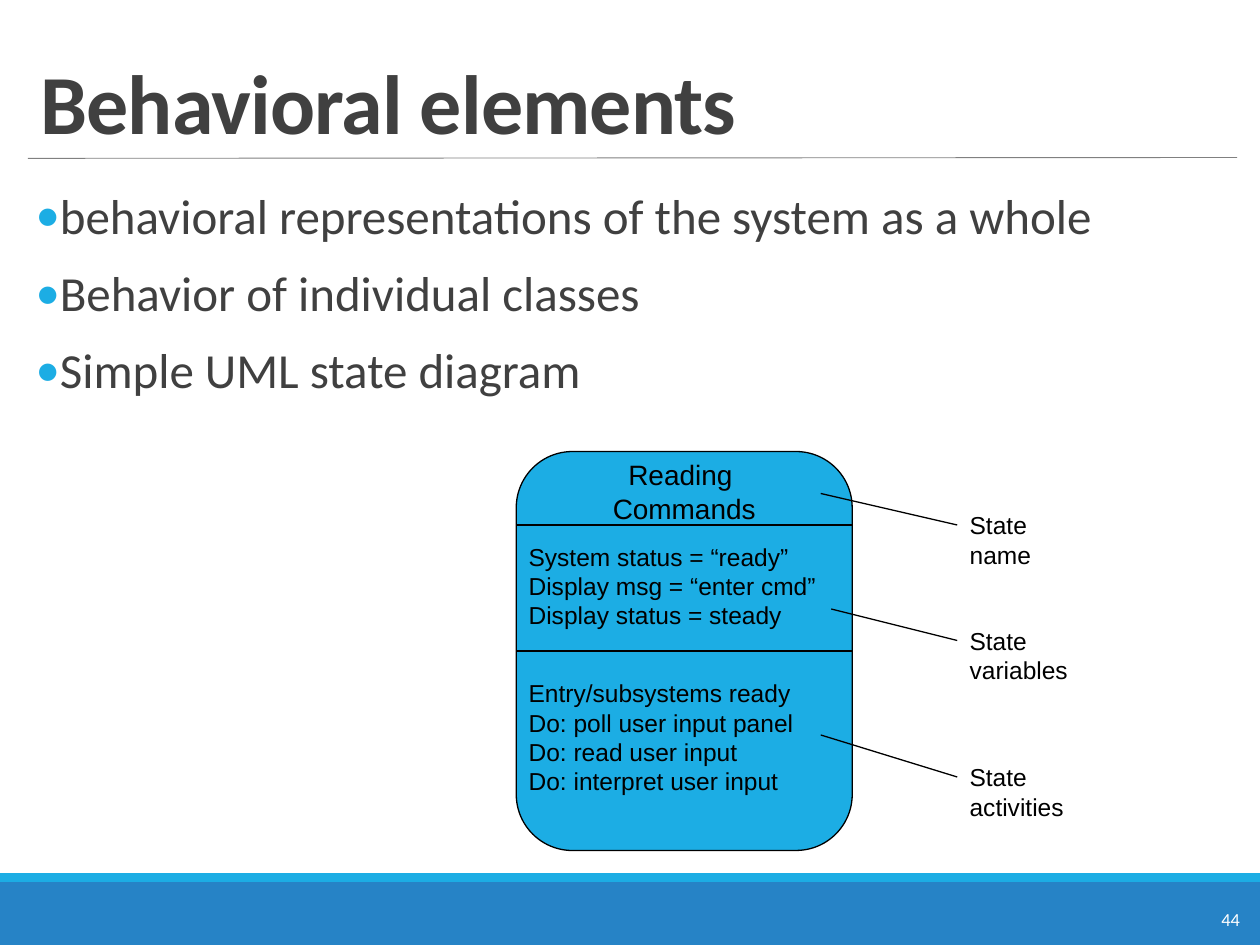
from dataclasses import dataclass

from lxml import etree
from pptx import Presentation
from pptx.dml.color import RGBColor
from pptx.enum.shapes import MSO_CONNECTOR, MSO_SHAPE
from pptx.enum.text import MSO_ANCHOR, PP_ALIGN
from pptx.oxml.ns import qn
from pptx.util import Pt

STRAIGHT = MSO_CONNECTOR.STRAIGHT
RECTANGLE = MSO_SHAPE.RECTANGLE
ROUNDED = MSO_SHAPE.ROUNDED_RECTANGLE
LEFT, CENTER, RIGHT = PP_ALIGN.LEFT, PP_ALIGN.CENTER, PP_ALIGN.RIGHT
TOP, BOTTOM = MSO_ANCHOR.TOP, MSO_ANCHOR.BOTTOM


@dataclass(frozen=True)
class Theme:
    accent: str = "1CADE4"
    footer: str = "2683C6"
    rule: str = "808080"
    heading: str = "404040"
    ink: str = "000000"
    white: str = "FFFFFF"
    heading_font: str = "Calibri"
    diagram_font: str = "Arial"
    title_size: float = 48
    body_size: float = 28
    state_size: float = 16
    detail_size: float = 14
    number_size: float = 10.5


theme = Theme()
deck = Presentation()
deck.slide_width, deck.slide_height = Pt(720), Pt(540)
page = deck.slides.add_slide(deck.slide_layouts[6])


def add_text(text, left, top, width, height, *, size=theme.detail_size,
             font=theme.diagram_font, color=theme.ink, bold=False, align=LEFT,
             anchor=TOP, wrap=True, side_inset=7.2, line_spacing=None,
             before=0, after=0, tracking=None, bullet=None):
    """Add a text box with one paragraph for each line of text."""
    box = page.shapes.add_textbox(Pt(left), Pt(top), Pt(width), Pt(height))
    frame = box.text_frame
    frame.word_wrap = wrap
    frame.vertical_anchor = anchor
    frame.margin_left = frame.margin_right = Pt(side_inset)
    frame.margin_top = frame.margin_bottom = Pt(3.6)
    frame.text = text
    for para in frame.paragraphs:
        para.alignment = align
        para.line_spacing = line_spacing
        para.space_before, para.space_after = Pt(before), Pt(after)
        span = para.runs[0]
        span.font.size, span.font.name, span.font.bold = Pt(size), font, bold
        span.font.color.rgb = RGBColor.from_string(color)
        if tracking is not None:
            span.font._element.set("spc", str(int(tracking * 100)))
        if bullet:
            properties = para._p.get_or_add_pPr()
            properties.set("marL", str(Pt(18)))
            properties.set("indent", str(Pt(-13.7)))
            bullet_color = etree.SubElement(properties, qn("a:buClr"))
            etree.SubElement(bullet_color, qn("a:srgbClr"), val=theme.accent)
            etree.SubElement(properties, qn("a:buFont"), typeface=font)
            etree.SubElement(properties, qn("a:buChar"), char=bullet)


def add_line(start_x, start_y, end_x, end_y, color=theme.ink, width=0.75):
    line = page.shapes.add_connector(
        STRAIGHT, Pt(start_x), Pt(start_y), Pt(end_x), Pt(end_y))
    line.line.color.rgb = RGBColor.from_string(color)
    line.line.width = Pt(width)
    etree.SubElement(line._element.spPr, qn("a:effectLst"))


# Footer bands and the state's outline
state_left, state_top, state_width = 295, 258, 192
for kind, left, top, width, height, fill, outline in [
    (RECTANGLE, 0, 504, 720, 36, theme.footer, None),
    (RECTANGLE, 0, 499, 720, 5, theme.accent, None),
    (ROUNDED, state_left, state_top, state_width, 228, theme.accent, theme.ink),
]:
    shape = page.shapes.add_shape(kind, Pt(left), Pt(top), Pt(width), Pt(height))
    shape.shadow.inherit = False
    shape.fill.solid()
    shape.fill.fore_color.rgb = RGBColor.from_string(fill)
    if outline:
        shape.adjustments[0] = 0.167
        shape.line.color.rgb = RGBColor.from_string(outline)
        shape.line.width = Pt(0.75)
    else:
        shape.line.fill.background()

# Heading, bullets and page number
add_line(16, 90.5, 707, 90, color=theme.rule, width=0.5)
add_text("44", 689, 515.5, 26.6, 20, size=theme.number_size, align=RIGHT,
         font=theme.heading_font, color=theme.white, wrap=False)
add_text("Behavioral elements", 16, 18, 691, 72, size=theme.title_size,
         font=theme.heading_font, color=theme.heading, bold=True,
         anchor=BOTTOM, line_spacing=0.85, tracking=-0.5)
add_text("behavioral representations of the system as a whole\n"
         "Behavior of individual classes\n"
         "Simple UML state diagram",
         16, 106, 691, 356, size=theme.body_size, font=theme.heading_font,
         color=theme.heading, side_inset=0, line_spacing=0.9,
         before=12, after=2, bullet="•")

# State compartments
for divider_y in (300, 372):
    add_line(state_left, divider_y, state_left + state_width, divider_y)
add_text("Reading \nCommands", 343, state_top, 96, 46,
         size=theme.state_size, align=CENTER)
add_text("System status = “ready”\n"
         "Display msg = “enter cmd”\n"
         "Display status = steady", state_left, 306, 186, 58)
add_text("Entry/subsystems ready\n"
         "Do: poll user input panel\n"
         "Do: read user input\n"
         "Do: interpret user input", state_left, 384, 186, 91)

# Callouts: each leader starts 12 points below the top of its label
label_left = 547
for label, top, width, target_x, target_y in [
    ("State name", 288, 84, 469, 282),
    ("State variables", 354, 105, 475, 348),
    ("State activities", 432, 102, 469, 420),
]:
    add_text(label, label_left, top, width, 24)
    add_line(label_left, top + 12, target_x, target_y)

deck.save("out.pptx")
